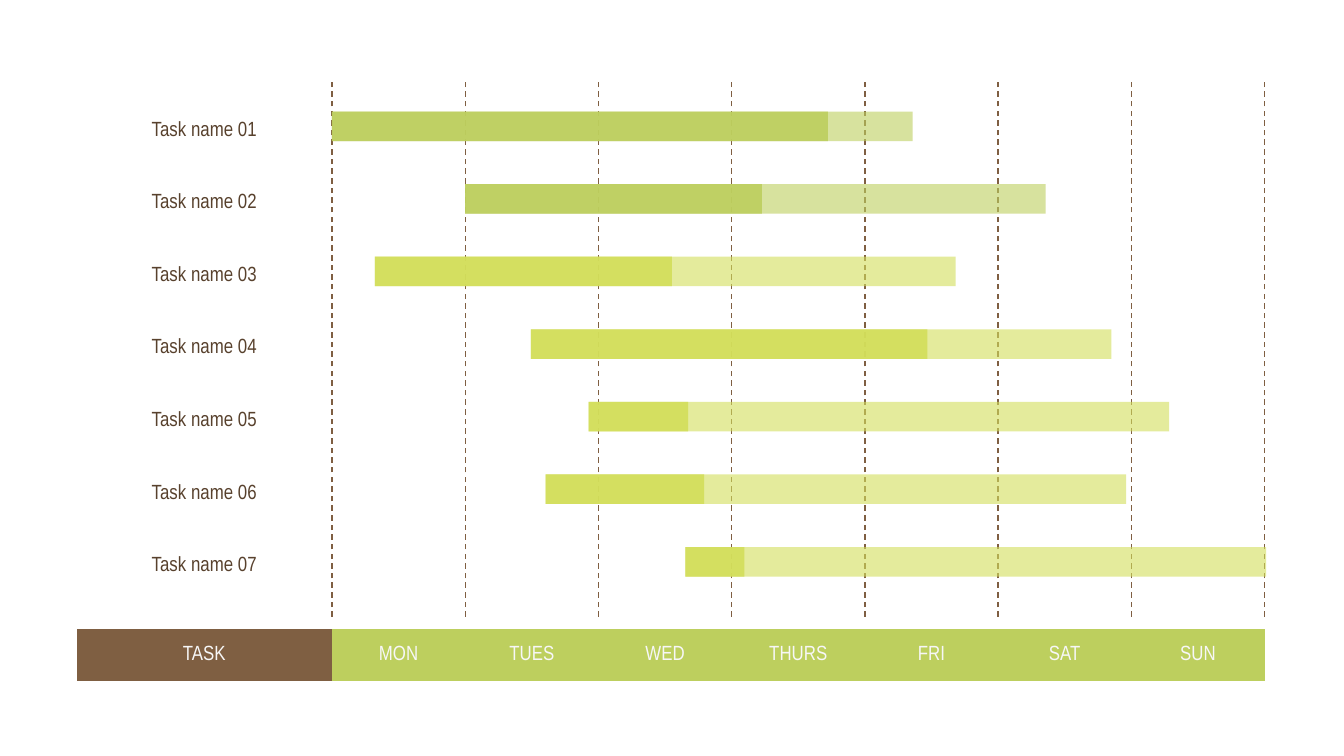
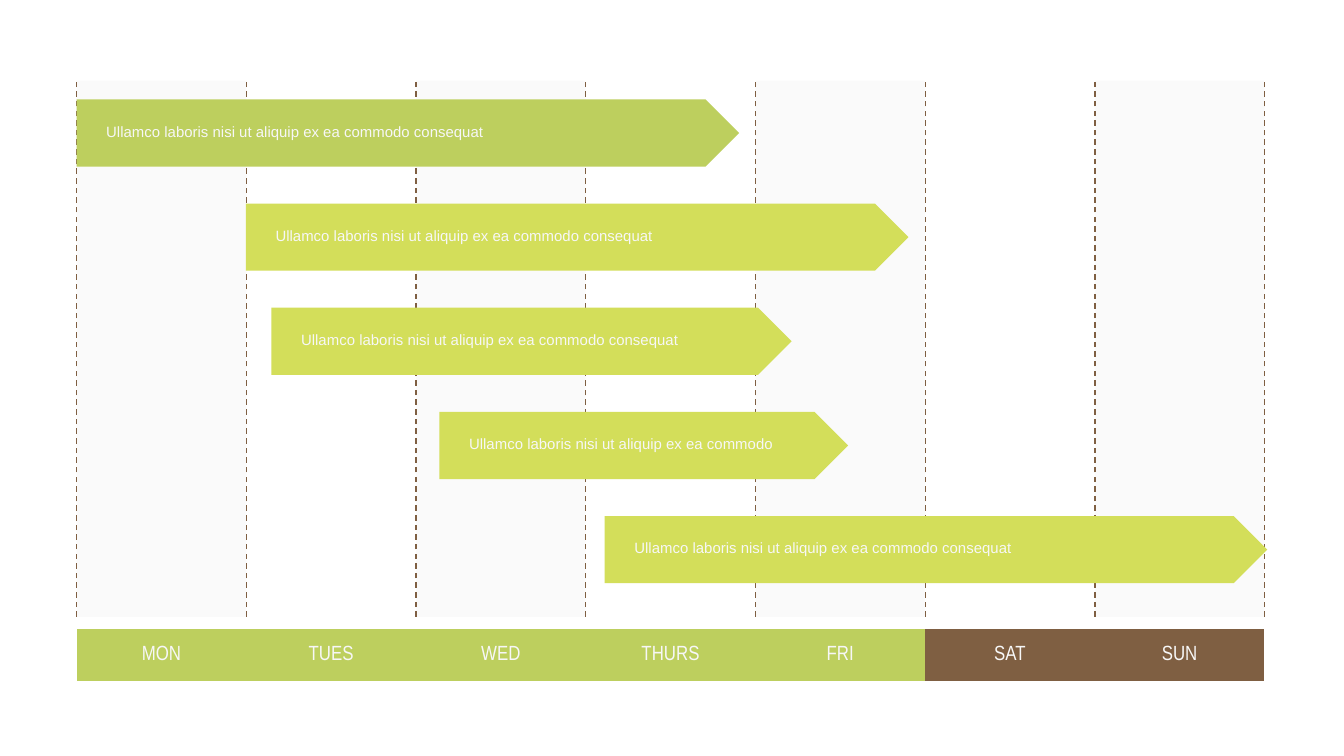
from lxml import etree
from pptx import Presentation
from pptx import util as u
from pptx.dml.color import RGBColor
from pptx.enum import dml, shapes, text
from pptx.oxml.ns import qn

GREEN, LIME, BROWN = "BDCF5E", "D3DE5A", "7F5F42"
DARK_BROWN, PALE = "58412D", "F7F7F7"
DAYS = ["MON", "TUES", "WED", "THURS", "FRI", "SAT", "SUN"]
SLIDE_WIDTH = 10
LEFT, RIGHT = 0.57, 9.41
GRID_TOP, GRID_BOTTOM = 0.6, 4.59
HEADER_TOP, HEADER_HEIGHT = 4.68, 0.39
NO_TABLE_STYLE = "{2D5ABB26-0587-4C30-8999-92F81FD0307C}"

LABEL_WIDTH = 1.9
TASK_STEP, TASK_LENGTH, TASK_HEIGHT = 0.54, 4.32, 0.22
# name, start, length done, colour
TASKS = [
    ("Task name 01", 2.47, 3.69, GREEN),
    ("Task name 02", 3.46, 2.21, GREEN),
    ("Task name 03", 2.79, 2.21, LIME),
    ("Task name 04", 3.95, 2.95, LIME),
    ("Task name 05", 4.38, 0.74, LIME),
    ("Task name 06", 4.06, 1.18, LIME),
    ("Task name 07", 5.1, 0.44, LIME),
]

SHORT_PHRASE = "Ullamco laboris nisi ut aliquip ex ea commodo"
PHRASE = SHORT_PHRASE + " consequat"
ARROW_FIRST, ARROW_LAST, ARROW_HEIGHT = 0.74, 3.84, 0.5
# wording, start, length, colour
ARROWS = [
    (PHRASE, 0.57, 4.93, GREEN),
    (PHRASE, 1.83, 4.93, LIME),
    (PHRASE, 2.02, 3.87, LIME),
    (SHORT_PHRASE, 3.27, 3.04, LIME),
    (PHRASE, 4.5, 4.93, LIME),
]

LABEL = dict(size=u.Pt(11), name="Arial Narrow", bold=False)
BODY = dict(size=u.Pt(8), name="Arial", bold=False)


def rgb(colour):
    return RGBColor.from_string(colour)


def inches(*lengths):
    return [u.Inches(length) for length in lengths]


def set_values(target, values):
    for attribute, value in values.items():
        setattr(target, attribute, value)


def paint(fill, colour):
    fill.solid()
    fill.fore_color.rgb = rgb(colour)


def write(frame, wording, style, colour, align):
    paragraph = frame.paragraphs[0]
    paragraph.alignment = align
    run = paragraph.add_run()
    run.text = wording
    set_values(run.font, style)
    run.font.color.rgb = rgb(colour)


def set_margins(holder, side):
    across, down = inches(side, 0.02)
    set_values(holder, dict(margin_left=across, margin_right=across,
                            margin_top=down, margin_bottom=down))


def add_block(parent, kind, box, colour, opacity=100):
    shape = parent.shapes.add_shape(kind, *inches(*box))
    shape.shadow.inherit = False
    shape.line.fill.background()
    paint(shape.fill, colour)
    if opacity < 100:
        node = shape.element.spPr.find(qn("a:solidFill"))[0]
        etree.SubElement(node, qn("a:alpha"), val=str(opacity * 1000))


def add_text(parent, box, wording, style, colour, align, side):
    frame = parent.shapes.add_textbox(*inches(*box)).text_frame
    frame.word_wrap = True
    set_margins(frame, side)
    write(frame, wording, style, colour, align)


def add_header(slide, columns):
    """Add the bottom band from (wording, width, fill colour) columns."""
    graphic = slide.shapes.add_table(
        1, len(columns), *inches(LEFT, HEADER_TOP, RIGHT - LEFT, HEADER_HEIGHT))
    next(graphic.element.iter(qn("a:tableStyleId"))).text = NO_TABLE_STYLE
    table = graphic.table
    for index, (wording, width, colour) in enumerate(columns):
        table.columns[index].width = u.Inches(width)
        cell = table.cell(0, index)
        paint(cell.fill, colour)
        cell.vertical_anchor = text.MSO_ANCHOR.MIDDLE
        set_margins(cell, 0.04)
        write(cell.text_frame, wording, LABEL, PALE, text.PP_ALIGN.CENTER)


def add_day_lines(slide, left):
    day_width = (RIGHT - left) / len(DAYS)
    for index in range(len(DAYS) + 1):
        x = left + index * day_width
        connector = slide.shapes.add_connector(
            shapes.MSO_CONNECTOR.STRAIGHT, *inches(x, GRID_BOTTOM, x, GRID_TOP))
        connector.line.color.rgb = rgb(BROWN)
        set_values(connector.line, dict(width=u.Pt(0.75),
                                        dash_style=dml.MSO_LINE.DASH))
        etree.SubElement(connector.element.spPr, qn("a:effectLst"))


def build_task_slide(slide):
    left = LEFT + LABEL_WIDTH
    day_width = (RIGHT - left) / len(DAYS)
    add_header(slide, [("TASK", LABEL_WIDTH, BROWN)]
               + [(day, day_width, GREEN) for day in DAYS])
    add_day_lines(slide, left)
    for index, (name, *_) in enumerate(TASKS):
        add_text(slide, (LEFT, 0.84 + index * TASK_STEP, LABEL_WIDTH, TASK_HEIGHT),
                 name, LABEL, DARK_BROWN, text.PP_ALIGN.CENTER, 0.02)
    for index, (_, start, done, colour) in enumerate(TASKS):
        group = slide.shapes.add_group_shape()
        for length, opacity in ((TASK_LENGTH, 60), (done, 90)):
            add_block(group, shapes.MSO_SHAPE.RECTANGLE,
                      (start, 0.83 + index * TASK_STEP, length, TASK_HEIGHT),
                      colour, opacity)


def build_arrow_slide(slide):
    day_width = (RIGHT - LEFT) / len(DAYS)
    for index in range(0, len(DAYS), 2):
        add_block(slide, shapes.MSO_SHAPE.RECTANGLE,
                  (LEFT + index * day_width, GRID_TOP, day_width, GRID_BOTTOM - GRID_TOP),
                  PALE, 50)
    add_header(slide, [(day, day_width, BROWN if day in ("SAT", "SUN") else GREEN)
                       for day in DAYS])
    add_day_lines(slide, LEFT)
    step = (ARROW_LAST - ARROW_FIRST) / (len(ARROWS) - 1)
    for index, (wording, start, length, colour) in enumerate(ARROWS):
        top = ARROW_FIRST + index * step
        group = slide.shapes.add_group_shape()
        add_block(group, shapes.MSO_SHAPE.PENTAGON,
                  (start, top, length, ARROW_HEIGHT), colour)
        add_text(group, (start + 0.18, top + 0.15, 3.11, 0.18), wording,
                 BODY, PALE, text.PP_ALIGN.LEFT, 0.04)


def main():
    presentation = Presentation()
    presentation.slide_width = u.Inches(SLIDE_WIDTH)
    presentation.slide_height = u.Inches(SLIDE_WIDTH * 9 / 16)
    for build in (build_task_slide, build_arrow_slide):
        build(presentation.slides.add_slide(presentation.slide_layouts[6]))
    presentation.save("out.pptx")


if __name__ == "__main__":
    main()
